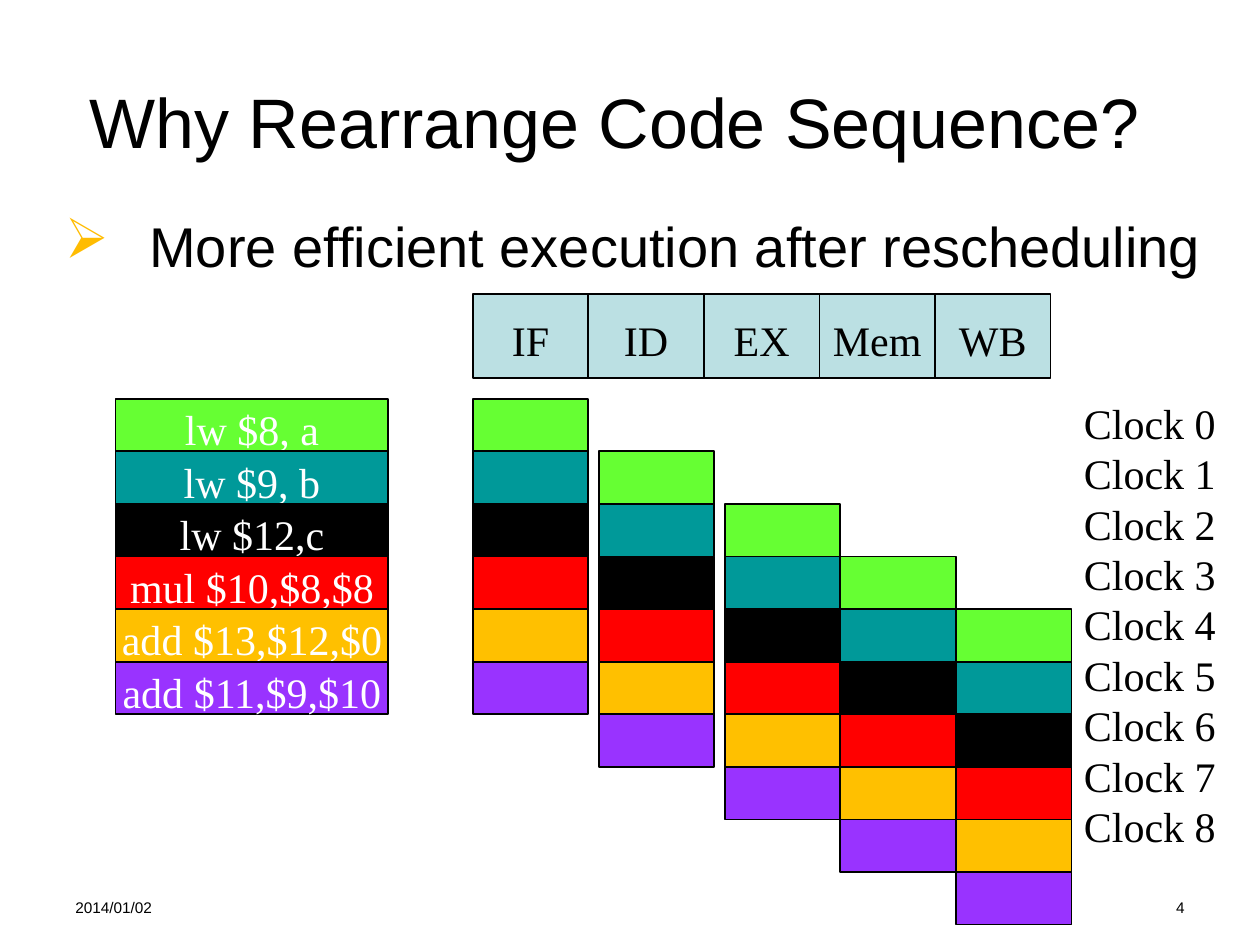
from lxml import etree
from pptx import Presentation
from pptx.dml.color import RGBColor
from pptx.enum.shapes import MSO_SHAPE
from pptx.enum.text import MSO_ANCHOR, PP_ALIGN
from pptx.oxml.ns import qn
from pptx.util import Cm, Pt

BLACK = RGBColor(0x00, 0x00, 0x00)
WHITE = RGBColor(0xFF, 0xFF, 0xFF)
PALE_BLUE = RGBColor(0xBB, 0xE0, 0xE3)
GREEN = RGBColor(0x66, 0xFF, 0x33)
TEAL = RGBColor(0x00, 0x99, 0x99)
RED = RGBColor(0xFF, 0x00, 0x00)
AMBER = RGBColor(0xFF, 0xC0, 0x00)
PURPLE = RGBColor(0x99, 0x33, 0xFF)
BULLET_GOLD = RGBColor(0xFF, 0xBC, 0x01)

SANS, SERIF = "Arial", "Times New Roman"

INSTRUCTIONS = [
    ("lw $8, a", GREEN),
    ("lw $9, b", TEAL),
    ("lw $12,c", BLACK),
    ("mul $10,$8,$8", RED),
    ("add $13,$12,$0", AMBER),
    ("add $11,$9,$10", PURPLE),
]
STAGES = ["IF", "ID", "EX", "Mem", "WB"]
STAGE_GAPS = [0, 0.21, 0.21, 0, 0]  # space left of each stage column
CLOCKS = [f"Clock {number}" for number in range(9)]

STAGE_WIDTH = 2.33
ROW_HEIGHT = 1.06


def write_text(frame, lines, *, size, font=SERIF, color=BLACK,
               align=PP_ALIGN.CENTER, anchor=MSO_ANCHOR.TOP, wrap=True,
               top=0.13, bottom=0.13, leading=None, bullet=None):
    """Fill a text frame with one paragraph per line; insets are in cm."""
    frame.word_wrap = wrap
    frame.vertical_anchor = anchor
    frame.margin_left = frame.margin_right = Cm(0.25)
    frame.margin_top, frame.margin_bottom = Cm(top), Cm(bottom)
    for index, line in enumerate(lines):
        para = frame.paragraphs[0] if index == 0 else frame.add_paragraph()
        if bullet:
            add_bullet(para, bullet, BULLET_GOLD, indent=1.7)
        para.alignment = align
        if leading:
            para.line_spacing = Pt(leading)
        span = para.add_run()
        span.text = line
        span.font.name = font
        span.font.size = Pt(size)
        span.font.color.rgb = color


def add_bullet(para, character, color, indent):
    properties = para._p.get_or_add_pPr()
    properties.set("marL", str(Cm(indent)))
    properties.set("indent", str(-Cm(indent)))
    bullet_color = etree.SubElement(properties, qn("a:buClr"))
    etree.SubElement(bullet_color, qn("a:srgbClr"), val=str(color))
    etree.SubElement(properties, qn("a:buChar"), char=character)


def add_text(page, left, top_edge, width, height, lines, **style):
    box = page.shapes.add_textbox(Cm(left), Cm(top_edge), Cm(width), Cm(height))
    write_text(box.text_frame, lines, **style)


def add_cell(page, left, top, width, height, fill, label=None, color=BLACK):
    cell = page.shapes.add_shape(
        MSO_SHAPE.RECTANGLE, Cm(left), Cm(top), Cm(width), Cm(height))
    cell.shadow.inherit = False
    cell.fill.solid()
    cell.fill.fore_color.rgb = fill
    cell.line.color.rgb = BLACK
    cell.line.width = Pt(1)
    if label:
        write_text(cell.text_frame, [label], size=24, color=color, wrap=False,
                   anchor=MSO_ANCHOR.MIDDLE, top=0.15, bottom=0)


def add_stage_header(page, left, top):
    for column, stage in enumerate(STAGES):
        add_cell(page, left + column * STAGE_WIDTH, top, STAGE_WIDTH, 1.69,
                 PALE_BLUE, stage)


def add_instruction_list(page, left, top):
    for row, (code, fill) in enumerate(INSTRUCTIONS):
        add_cell(page, left, top + row * ROW_HEIGHT, 5.5, ROW_HEIGHT,
                 fill, code, WHITE)


def add_pipeline(page, left, top):
    """Each instruction enters the next stage one row later."""
    for column, gap in enumerate(STAGE_GAPS):
        left += gap
        for row, (_, fill) in enumerate(INSTRUCTIONS):
            add_cell(page, left, top + (row + column) * ROW_HEIGHT,
                     STAGE_WIDTH, ROW_HEIGHT, fill)
        left += STAGE_WIDTH


def add_footer(page, left, top, width):
    field = 5.93
    style = dict(size=8.8, font=SANS)
    add_text(page, left, top, field, 0.69, ["2014/01/02"],
             align=PP_ALIGN.LEFT, **style)
    add_text(page, left + width - field, top, field, 0.69, ["4"],
             align=PP_ALIGN.RIGHT, **style)


def main():
    deck = Presentation()
    deck.slide_width, deck.slide_height = Cm(25.4), Cm(19.05)
    page = deck.slides.add_slide(deck.slide_layouts[6])

    add_footer(page, 1.27, 17.98, 22.86)
    add_text(page, 1.27, 0.64, 22.23, 3.39, ["Why Rearrange Code Sequence?"],
             size=40, font=SANS, anchor=MSO_ANCHOR.MIDDLE, top=0.2, bottom=0)
    add_text(page, 1.06, 4.02, 23.5, 13.76,
             ["More efficient execution after rescheduling"],
             size=32, font=SANS, align=PP_ALIGN.LEFT, top=0.25, bullet="➢")
    add_stage_header(page, 9.53, 5.93)
    add_pipeline(page, 9.53, 8.04)
    add_instruction_list(page, 2.33, 8.04)
    add_text(page, 21.59, 7.83, 3.18, 9.4, CLOCKS,
             size=24, top=0.18, leading=28.8)

    deck.save("out.pptx")


if __name__ == "__main__":
    main()
